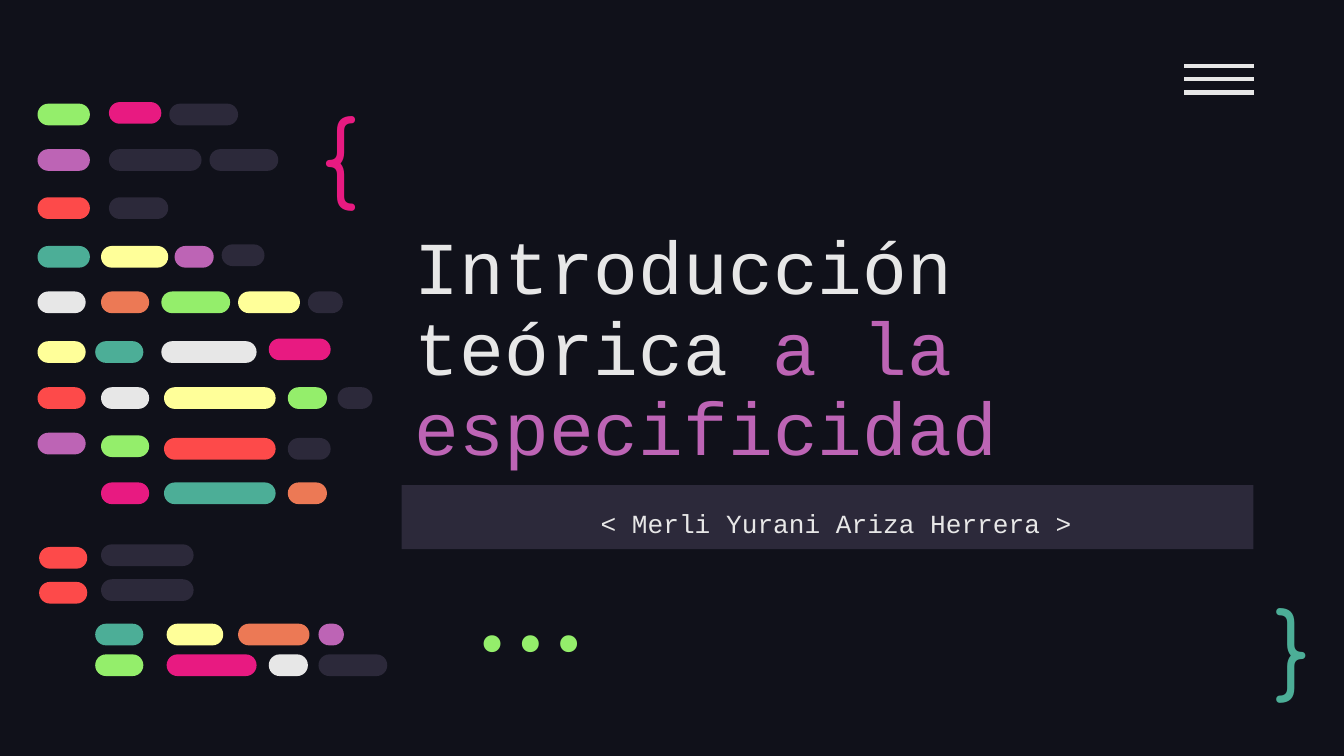
from typing import NamedTuple

from lxml import etree
from pptx import Presentation
from pptx.dml.color import RGBColor
from pptx.enum import shapes, text
from pptx.oxml import ns
from pptx.util import Cm, Pt


class Theme:
    night = "10111A"
    slate = "2C293A"
    white = "E7E7E7"
    green = "94EE6B"
    pink = "E81A81"
    purple = "BD64B5"
    red = "FD4A4A"
    teal = "4CAE97"
    yellow = "FFFF99"
    orange = "EC7955"
    code_font = "Courier New"
    brace_font = "Comfortaa"
    dots_font = "Fira Code"
    title_size = 40
    author_size = 14
    author_space_size = 16
    symbol_size = 50
    menu_line = 2.25


class Box(NamedTuple):
    """Left, top, width and height in centimetres."""
    left: float
    top: float
    width: float
    height: float

    def lengths(self):
        return [Cm(value) for value in self]


# Each row: top, then (left, width, colour, optional vertical shift) per pill,
# in centimetres from the corner of the code panel.
CODE_ROWS = [
    (0.03, [(0, 0.99, Theme.green), (1.35, 0.99, Theme.pink, -0.03),
            (2.49, 1.3, Theme.slate)]),
    (0.89, [(0, 0.99, Theme.purple), (1.35, 1.75, Theme.slate),
            (3.25, 1.3, Theme.slate)]),
    (1.8, [(0, 0.99, Theme.red), (1.35, 1.12, Theme.slate)]),
    (2.72, [(0, 0.99, Theme.teal), (1.2, 1.27, Theme.yellow),
            (2.59, 0.74, Theme.purple), (3.48, 0.81, Theme.slate, -0.03)]),
    (3.58, [(0, 0.91, Theme.white), (1.2, 0.91, Theme.orange),
            (2.34, 1.3, Theme.green), (3.79, 1.17, Theme.yellow),
            (5.11, 0.66, Theme.slate)]),
    (4.52, [(0, 0.91, Theme.yellow), (1.09, 0.91, Theme.teal),
            (2.34, 1.8, Theme.white), (4.37, 1.17, Theme.pink, -0.05)]),
    (5.39, [(0, 0.91, Theme.red), (1.2, 0.91, Theme.white),
            (2.39, 2.11, Theme.yellow), (4.73, 0.74, Theme.green),
            (5.67, 0.66, Theme.slate)]),
    (6.25, [(0, 0.91, Theme.purple), (1.2, 0.91, Theme.green, 0.05),
            (2.39, 2.11, Theme.red, 0.1), (4.73, 0.81, Theme.slate, 0.1)]),
    (7.19, [(1.2, 0.91, Theme.pink), (2.39, 2.11, Theme.teal),
            (4.73, 0.74, Theme.orange)]),
    (8.41, [(0.03, 0.91, Theme.red), (1.2, 1.75, Theme.slate, -0.05)]),
    (9.07, [(0.03, 0.91, Theme.red), (1.2, 1.75, Theme.slate, -0.05)]),
    (9.86, [(1.09, 0.91, Theme.teal), (2.44, 1.07, Theme.yellow),
            (3.79, 1.35, Theme.orange), (5.31, 0.48, Theme.purple)]),
    (10.44, [(1.09, 0.91, Theme.green), (2.44, 1.7, Theme.pink),
             (4.37, 0.74, Theme.white), (5.31, 1.3, Theme.slate)]),
]
PILL_HEIGHT = 0.41


def rgb(colour):
    return RGBColor.from_string(colour)


def add_filled(parent, kind, box, colour):
    shape = parent.shapes.add_shape(kind, *box.lengths())
    shape.shadow.inherit = False
    shape.fill.solid()
    shape.fill.fore_color.rgb = rgb(colour)
    shape.line.fill.background()
    return shape


def add_span(para, words, *, size, colour, font=Theme.code_font):
    span = para.add_run()
    span.text = words
    span.font.name = font
    span.font.size = Pt(size)
    span.font.color.rgb = rgb(colour)


def prepare_para(shape, *, anchor="TOP", align="LEFT", spacing=1.0):
    """Set up the text frame of a shape and return its first paragraph."""
    frame = shape.text_frame
    frame.word_wrap = True
    frame.vertical_anchor = text.MSO_ANCHOR[anchor]
    frame.margin_left = frame.margin_right = Cm(0.25)
    frame.margin_top = frame.margin_bottom = Cm(0.25)
    para = frame.paragraphs[0]
    para.alignment = text.PP_ALIGN[align]
    para.line_spacing = spacing
    return para


def add_title(page, box):
    para = prepare_para(page.shapes.add_textbox(*box.lengths()),
                        anchor="BOTTOM", spacing=0.9)
    add_span(para, "Introducción teórica ", size=Theme.title_size, colour=Theme.white)
    add_span(para, "a la especificidad", size=Theme.title_size, colour=Theme.purple)


def add_author_bar(page, box):
    bar = add_filled(page, shapes.MSO_SHAPE.RECTANGLE, box, Theme.slate)
    para = prepare_para(bar, align="CENTER", spacing=1.15)
    add_span(para, " ", size=Theme.author_space_size, colour=Theme.white)
    add_span(para, "< Merli Yurani Ariza Herrera >",
             size=Theme.author_size, colour=Theme.white)


def add_symbol(page, box, symbol, *, colour, font=Theme.brace_font, **layout):
    para = prepare_para(page.shapes.add_textbox(*box.lengths()), **layout)
    add_span(para, symbol, size=Theme.symbol_size, colour=colour, font=font)


def add_menu_icon(page, box, count=3):
    group = page.shapes.add_group_shape()
    for index in range(count):
        height = Cm(box.top + index * box.height / (count - 1))
        line = group.shapes.add_connector(
            shapes.MSO_CONNECTOR.STRAIGHT,
            Cm(box.left), height, Cm(box.left + box.width), height)
        line.line.color.rgb = rgb(Theme.white)
        line.line.width = Pt(Theme.menu_line)
        etree.SubElement(line._element.spPr, ns.qn("a:effectLst"))


def add_code_panel(page, box):
    group = page.shapes.add_group_shape()
    for top, pills in CODE_ROWS:
        for left, width, colour, *shift in pills:
            place = Box(box.left + left, box.top + top + sum(shift),
                        width, PILL_HEIGHT)
            pill = add_filled(group, shapes.MSO_SHAPE.ROUNDED_RECTANGLE,
                              place, colour)
            pill.adjustments[0] = 0.5


def add_cover(deck):
    page = deck.slides.add_slide(deck.slide_layouts[6])
    page.background.fill.solid()
    page.background.fill.fore_color.rgb = rgb(Theme.night)
    add_title(page, Box(7.59, 3.51, 16.1, 5.66))
    add_author_bar(page, Box(7.59, 9.17, 16.1, 1.21))
    add_symbol(page, Box(5.82, 1.57, 1.96, 2.41), "{", colour=Theme.pink)
    add_symbol(page, Box(23.85, 11.13, 1.45, 2.11), "}",
               colour=Theme.teal, anchor="MIDDLE")
    add_symbol(page, Box(7.9, 11.4, 4.01, 1.52), "...", colour=Theme.green,
               font=Theme.dots_font, anchor="BOTTOM", align="RIGHT")
    add_menu_icon(page, Box(22.38, 1.24, 1.32, 0.51))
    add_code_panel(page, Box(0.71, 1.93, 6.61, 10.85))


def main():
    deck = Presentation()
    deck.slide_width, deck.slide_height = Cm(25.4), Cm(14.29)
    add_cover(deck)
    deck.save("out.pptx")


if __name__ == "__main__":
    main()
